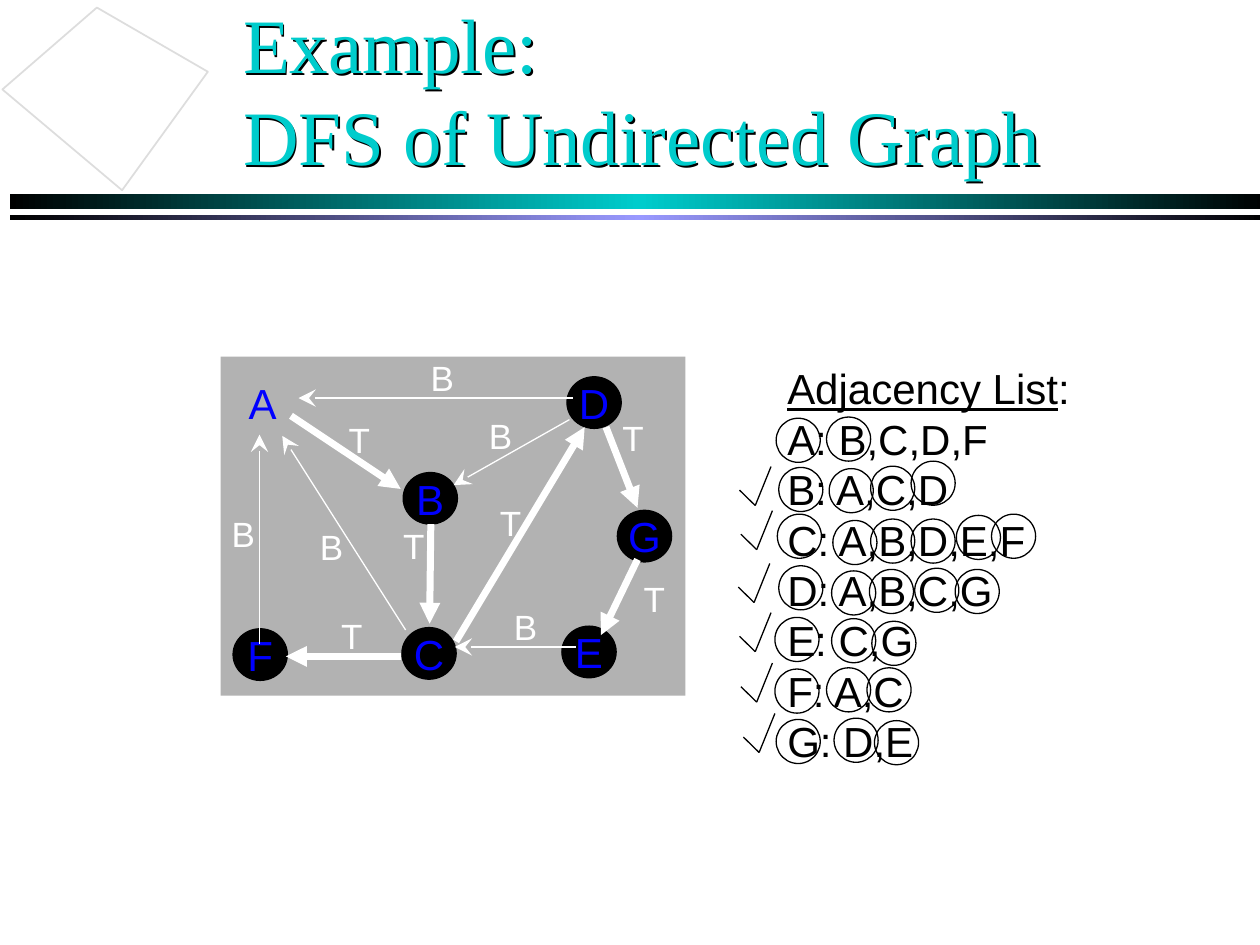
"""Build a slide showing a depth-first search of an undirected graph."""
from copy import deepcopy
from dataclasses import dataclass
from typing import NamedTuple, Optional

from lxml import etree
from pptx import Presentation
from pptx import util as u
from pptx.dml.color import RGBColor
from pptx.enum import shapes, text
from pptx.oxml.ns import qn


@dataclass(frozen=True)
class Theme:
    title: str = "00CCCC"
    accent: str = "9999FF"
    ink: str = "000000"
    paper: str = "FFFFFF"
    panel: str = "B2B2B2"
    node_name: str = "0000FF"
    outline: str = "DDDDDD"
    title_font: str = "Times New Roman"
    body_font: str = "Arial"
    title_size: float = 44
    body_size: float = 24
    label_size: float = 20


class Point(NamedTuple):
    x: float
    y: float


class Frame(NamedTuple):
    left: float
    top: float
    width: float
    height: float


@dataclass(frozen=True)
class Node:
    name: str
    corner: Point
    fill: str


@dataclass(frozen=True)
class EdgeKind:
    label: str
    weight: float
    arrow_tag: str
    arrow_type: str
    arrow_size: str


@dataclass(frozen=True)
class Edge:
    kind: EdgeKind
    start: Point
    end: Point
    label_corner: Point


@dataclass(frozen=True)
class AdjacencyRow:
    entry: str
    rings: tuple
    check: Optional[Point] = None


THEME = Theme()
TREE = EdgeKind("T", 4, "a:tailEnd", "triangle", "med")
BACK = EdgeKind("B", 0.75, "a:headEnd", "stealth", "lg")
THIN = 0.75
RING = 25.2

NODES = (
    Node("A", Point(134.6, 215.3), THEME.panel),
    Node("B", Point(230.4, 270), THEME.ink),
    Node("C", Point(229.7, 358.6), THEME.ink),
    Node("D", Point(324, 215.3), THEME.ink),
    Node("E", Point(321.1, 357.8), THEME.ink),
    Node("F", Point(133.2, 359.3), THEME.ink),
    Node("G", Point(352.8, 291.6), THEME.ink),
)
EDGES = (
    Edge(BACK, Point(161.3, 249.1), Point(231.8, 360), Point(175.7, 296.6)),
    Edge(TREE, Point(166.3, 237.6), Point(229, 279.4), Point(192.2, 235.4)),
    Edge(TREE, Point(246.2, 299.5), Point(245.5, 356.4), Point(223.2, 295.9)),
    Edge(TREE, Point(260.6, 366.5), Point(334.1, 244.1), Point(278.6, 283)),
    Edge(BACK, Point(170.6, 227.5), Point(327.6, 227.5), Point(239, 200.2)),
    Edge(BACK, Point(259.2, 277.2), Point(325.4, 239.8), Point(272.2, 233.3)),
    Edge(TREE, Point(346.3, 244.1), Point(364.3, 290.2), Point(348.5, 234.7)),
    Edge(TREE, Point(364.3, 319.7), Point(343.4, 362.9), Point(360.7, 326.2)),
    Edge(BACK, Point(259.9, 369.7), Point(329, 369.7), Point(286.6, 342.7)),
    Edge(TREE, Point(229, 375.1), Point(163.4, 375.1), Point(187.9, 347.8)),
    Edge(BACK, Point(148.3, 248.4), Point(148.3, 367.9), Point(125.3, 289.4)),
)
ROWS = (
    AdjacencyRow("A: B,C,D,F", ((443.5, 239), (472.3, 238.3))),
    AdjacencyRow("B: A,C,D", ((445, 267.1), (473.8, 267.8), (497.5, 266.4), (520.6, 263.5)),
                 Point(422.6, 280.1)),
    AdjacencyRow("C: A,B,D,E,F", ((444.2, 293.8), (475.9, 297.4), (497.5, 296.6), (520.6, 296.6),
                                  (546.5, 294.5), (566.6, 293.8)), Point(423.4, 305.3)),
    AdjacencyRow("D: A,B,C,G", ((445, 323.3), (475.2, 326.2), (496.8, 325.4), (522.7, 324.7),
                                (545.8, 325.4)), Point(421.9, 335.5)),
    AdjacencyRow("E: C,G", ((442.8, 352.8), (475.2, 353.5), (498.2, 355)), Point(422.6, 363.6)),
    AdjacencyRow("F: A,C", ((442.8, 382.3), (472.3, 381.6), (495.4, 381.6)), Point(423.4, 392.4)),
    AdjacencyRow("G: D,E", ((443.5, 411.1), (476.6, 410.4), (499.7, 411.8)), Point(424.8, 421.2)),
)


def paint(shape, fill: Optional[str], line: Optional[str], weight: float = THIN) -> None:
    shape.shadow.inherit = False
    if fill:
        shape.fill.solid()
        shape.fill.fore_color.rgb = RGBColor.from_string(fill)
    else:
        shape.fill.background()
    if line:
        shape.line.color.rgb = RGBColor.from_string(line)
        shape.line.width = u.Pt(weight)
    else:
        shape.line.fill.background()


def add_preset(page, preset, frame: Frame, fill: Optional[str], line: Optional[str]):
    shape = page.shapes.add_shape(preset, *map(u.Pt, frame))
    paint(shape, fill, line)
    return shape


def add_box(page, frame: Frame, wrap: bool = True):
    box = page.shapes.add_textbox(*map(u.Pt, frame))
    box.text_frame.word_wrap = wrap
    return box


def style(para, face: str, size: float, color: str) -> None:
    para.font.name = face
    para.font.size = u.Pt(size)
    para.font.color.rgb = RGBColor.from_string(color)


def add_line(page, start: Point, end: Point, color: str, weight: float = THIN):
    line = page.shapes.add_connector(shapes.MSO_CONNECTOR.STRAIGHT, *map(u.Pt, (*start, *end)))
    line.line.color.rgb = RGBColor.from_string(color)
    line.line.width = u.Pt(weight)
    etree.SubElement(line._element.spPr, qn("a:effectLst"))
    return line


def add_bar(page, frame: Frame, middle: str) -> None:
    bar = add_preset(page, shapes.MSO_SHAPE.RECTANGLE, frame, None, None)
    bar.fill.gradient()
    bar.fill.gradient_angle = 0
    stops = bar._element.spPr.find(qn("a:gradFill")).find(qn("a:gsLst"))
    stops.insert(1, deepcopy(stops[0]))
    for stop, color, place in zip(bar.fill.gradient_stops, (THEME.ink, middle, THEME.ink), (0, 0.5, 1)):
        stop.color.rgb = RGBColor.from_string(color)
        stop.position = place


def add_header(page) -> None:
    add_bar(page, Frame(5.8, 110.9, 719.3, 8.6), THEME.title)
    add_bar(page, Frame(5.8, 123.1, 719.3, 2.9), THEME.accent)
    corners = [(u.Pt(x), u.Pt(y)) for x, y in ((69.8, 108.7), (1.4, 51.1), (55.4, 4.3), (118.8, 41))]
    builder = page.shapes.build_freeform(*corners[0])
    builder.add_line_segments(corners[1:], close=True)
    paint(builder.convert_to_shape(), THEME.paper, THEME.outline, 1)

    box = add_box(page, Frame(131.8, 5.8, 612, 90))
    box.text_frame.vertical_anchor = text.MSO_ANCHOR.MIDDLE
    para = box.text_frame.paragraphs[0]
    para.text = "Example: \vDFS of Undirected Graph"
    style(para, THEME.title_font, THEME.title_size, THEME.title)
    effects = etree.SubElement(box._element.spPr, qn("a:effectLst"))
    shadow = etree.SubElement(effects, qn("a:outerShdw"), dist="17961", dir="2700000")
    etree.SubElement(shadow, qn("a:srgbClr"), val=THEME.ink)


def add_node(page, node: Node) -> None:
    oval = add_preset(page, shapes.MSO_SHAPE.OVAL, Frame(*node.corner, 31, 29.5), node.fill, node.fill)
    oval.text_frame.word_wrap = False
    oval.text_frame.vertical_anchor = text.MSO_ANCHOR.MIDDLE
    para = oval.text_frame.paragraphs[0]
    para.text = node.name
    para.alignment = text.PP_ALIGN.CENTER
    style(para, THEME.body_font, THEME.body_size, THEME.node_name)


def add_edge(page, edge: Edge) -> None:
    kind = edge.kind
    line = add_line(page, edge.start, edge.end, THEME.paper, kind.weight)
    etree.SubElement(line.line._get_or_add_ln(), qn(kind.arrow_tag),
                     type=kind.arrow_type, w=kind.arrow_size, len=kind.arrow_size)
    para = add_box(page, Frame(*edge.label_corner, 34.6, 31.7)).text_frame.paragraphs[0]
    para.text = kind.label
    style(para, THEME.body_font, THEME.label_size, THEME.paper)


def add_adjacency(page) -> None:
    frame = add_box(page, Frame(442.8, 203.8, 175.7, 237.6), wrap=False).text_frame
    heading = frame.paragraphs[0]
    for words, underlined in (("Adjacency List", True), (":", False)):
        span = heading.add_run()
        span.text = words
        span.font.underline = underlined
    for row in ROWS:
        frame.add_paragraph().text = row.entry
        for corner in row.rings:
            add_preset(page, shapes.MSO_SHAPE.OVAL, Frame(*corner, RING, RING), None, THEME.ink)
        if row.check:
            x, y = row.check
            tip = Point(x + 9, y + 8.8)
            add_line(page, row.check, tip, THEME.ink)
            add_line(page, tip, Point(x + 18, y - 13.5), THEME.ink)
    for para in frame.paragraphs:
        style(para, THEME.body_font, THEME.body_size, THEME.ink)


def main() -> None:
    deck = Presentation()
    deck.slide_width, deck.slide_height = u.Pt(720), u.Pt(540)
    page = deck.slides.add_slide(deck.slide_layouts[6])
    add_header(page)
    add_preset(page, shapes.MSO_SHAPE.RECTANGLE, Frame(126, 203.8, 265.7, 193.7), THEME.panel, None)
    for node in NODES:
        add_node(page, node)
    for edge in EDGES:
        add_edge(page, edge)
    add_adjacency(page)
    deck.save("out.pptx")


if __name__ == "__main__":
    main()
